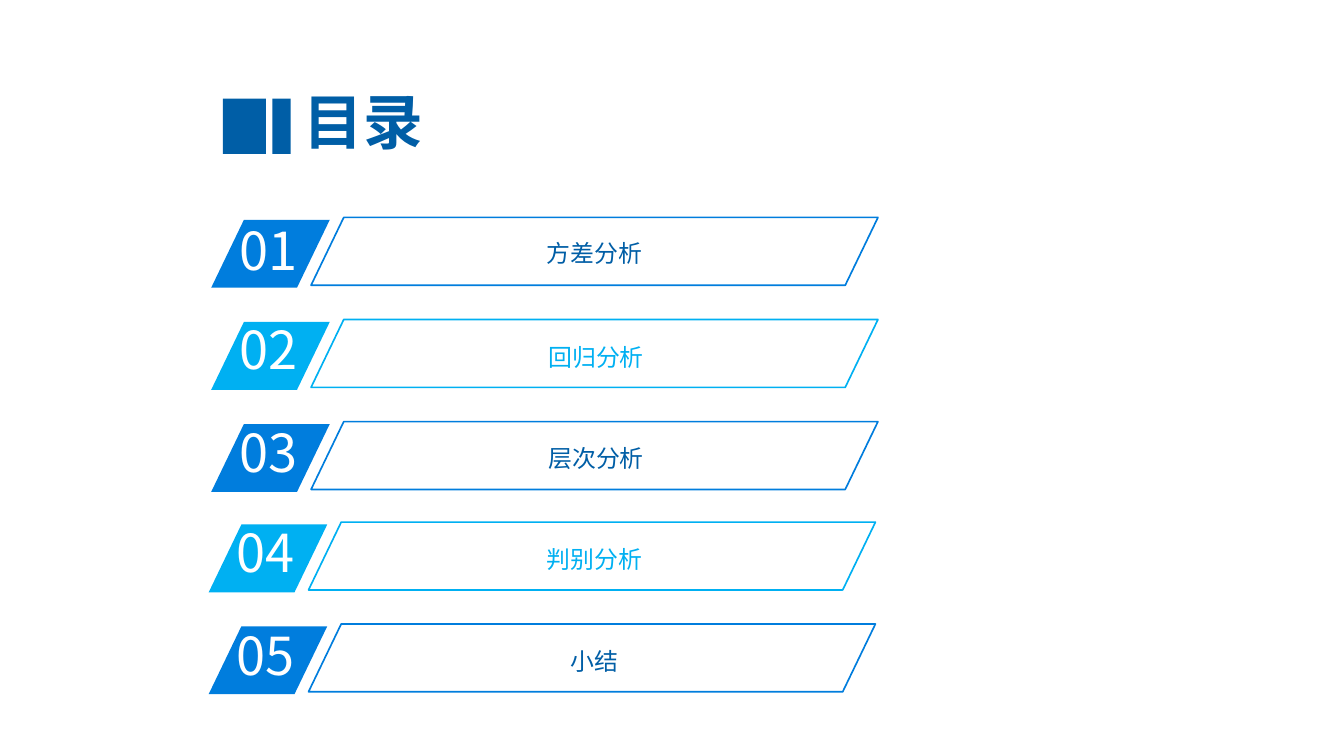
from dataclasses import dataclass

from lxml.etree import SubElement
from pptx import Presentation
from pptx.dml.color import RGBColor
from pptx.enum.shapes import MSO_SHAPE
from pptx.enum.text import MSO_ANCHOR, PP_ALIGN
from pptx.oxml.ns import qn
from pptx.util import Pt

FONT = "Noto Sans CJK SC"
COLORS = {"navy": "005EA6", "blue": "007DDD", "sky": "00B0F2", "white": "FFFFFF"}
SLANT = 0.482
ROW_HEIGHT = 51.1


@dataclass(frozen=True)
class Box:
    left: float
    top: float
    width: float
    height: float

    def lengths(self) -> tuple:
        return Pt(self.left), Pt(self.top), Pt(self.width), Pt(self.height)


@dataclass(frozen=True)
class Entry:
    label: str
    left: float
    top: float
    number_top: float
    label_left: float
    label_top: float
    shape_color: str
    label_color: str


ENTRIES = [
    Entry("方差分析", 159.1, 165.6, 162.7, 290.9, 167.8, "blue", "navy"),
    Entry("回归分析", 159.1, 242.5, 237.6, 292.3, 245.5, "sky", "sky"),
    Entry("层次分析", 159.1, 319.4, 315.4, 292.3, 322.2, "blue", "navy"),
    Entry("判别分析", 157.2, 395.1, 390.2, 290.9, 398.2, "sky", "sky"),
    Entry("小结", 157.2, 471.8, 468, 290.9, 474.5, "blue", "navy"),
]


def color(name: str) -> RGBColor:
    return RGBColor.from_string(COLORS[name])


def add_filled(shapes, kind: MSO_SHAPE, box: Box, fill: str):
    shape = shapes.add_shape(kind, *box.lengths())
    shape.shadow.inherit = False
    shape.fill.solid()
    shape.fill.fore_color.rgb = color(fill)
    shape.line.fill.background()
    return shape


def add_frame(shapes, box: Box, outline: str) -> None:
    shape = shapes.add_shape(MSO_SHAPE.PARALLELOGRAM, *box.lengths())
    shape.shadow.inherit = False
    shape.adjustments[0] = SLANT
    shape.fill.background()
    shape.line.color.rgb = color(outline)
    shape.line.width = Pt(1.25)


def add_text(shapes, text: str, box: Box, size: float, text_color: str,
             align: PP_ALIGN = PP_ALIGN.CENTER, bold: bool = False,
             line_spacing: float = 1.0, bottom_margin: float = 3.6) -> None:
    frame = shapes.add_textbox(*box.lengths()).text_frame
    frame.word_wrap = True
    frame.vertical_anchor = MSO_ANCHOR.MIDDLE
    frame.margin_bottom = Pt(bottom_margin)
    paragraph = frame.paragraphs[0]
    paragraph.alignment = align
    paragraph.line_spacing = line_spacing
    run = paragraph.add_run()
    run.text = text
    run.font.size = Pt(size)
    run.font.bold = bold
    run.font.color.rgb = color(text_color)
    run.font.name = FONT
    # East Asian typeface
    SubElement(run._r.get_or_add_rPr(), qn("a:ea")).set("typeface", FONT)


def add_entry(shapes, number: int, entry: Entry) -> None:
    # Number badge
    badge = shapes.add_group_shape().shapes
    shape = add_filled(badge, MSO_SHAPE.PARALLELOGRAM,
                       Box(entry.left, entry.top, 89.3, ROW_HEIGHT), entry.shape_color)
    shape.adjustments[0] = SLANT
    add_text(badge, f"{number:02d}", Box(entry.left + 14, entry.number_top, 85, 54.7),
             39.4, "white", align=PP_ALIGN.LEFT, bottom_margin=8)

    # Outlined label
    panel = shapes.add_group_shape().shapes
    add_text(panel, entry.label, Box(entry.label_left, entry.label_top, 313.2, 35.3),
             18, entry.label_color, line_spacing=1.5)
    add_frame(panel, Box(entry.left + 75.2, entry.top - 1.8, 427, ROW_HEIGHT),
              entry.shape_color)


def main() -> None:
    presentation = Presentation()
    presentation.slide_width = Pt(1012.3)
    presentation.slide_height = Pt(569.5)
    slide = presentation.slides.add_slide(presentation.slide_layouts[6])

    # Heading with its two bars
    add_text(slide.shapes, "目录", Box(149, 63.4, 249.8, 54.7), 45, "navy", bold=True)
    for left, width in ((167.8, 32.4), (205.2, 13.7)):
        add_filled(slide.shapes, MSO_SHAPE.RECTANGLE, Box(left, 74.2, width, 41.8), "navy")

    # Contents list
    for number, entry in enumerate(ENTRIES, start=1):
        add_entry(slide.shapes, number, entry)

    presentation.save("out.pptx")


if __name__ == "__main__":
    main()
